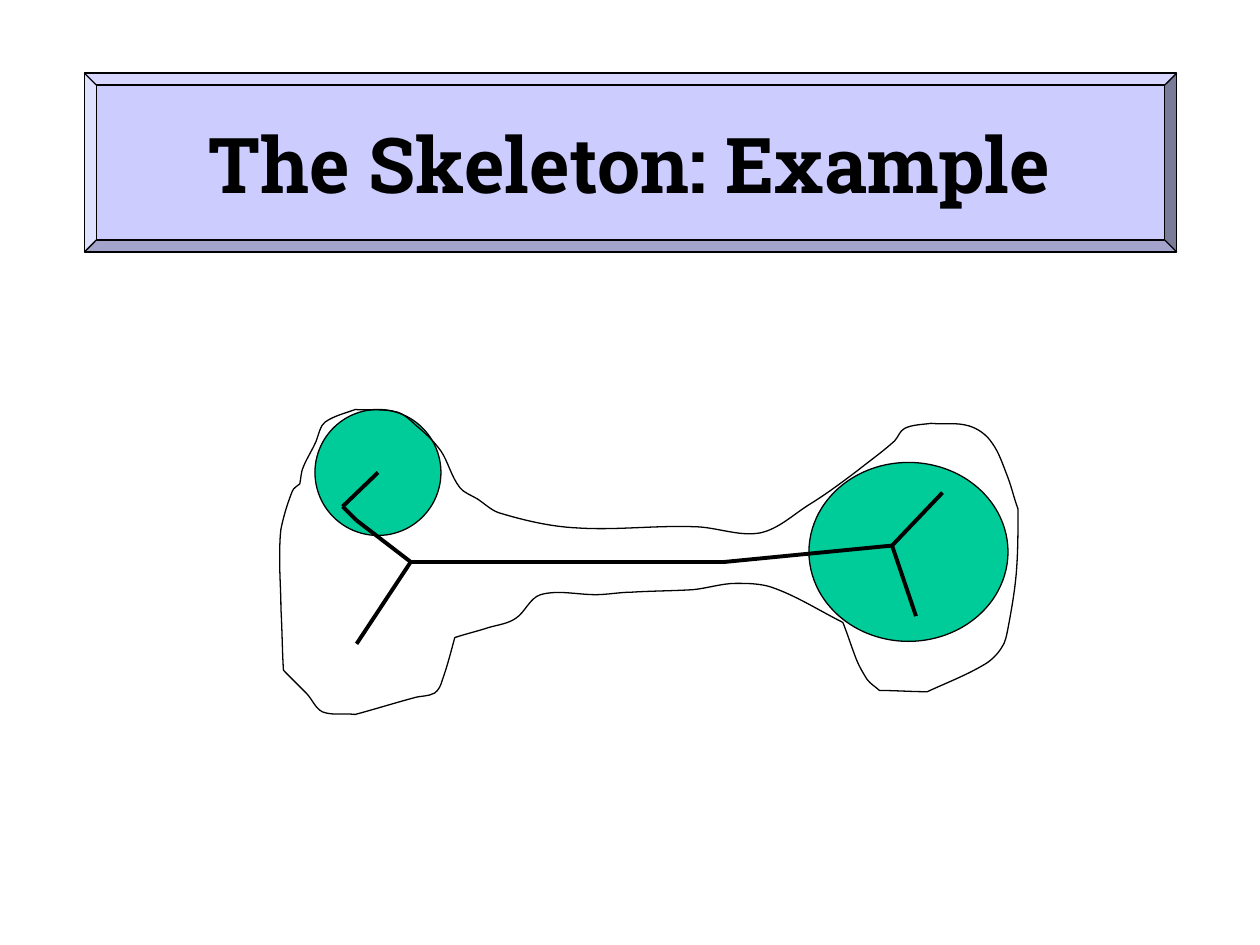
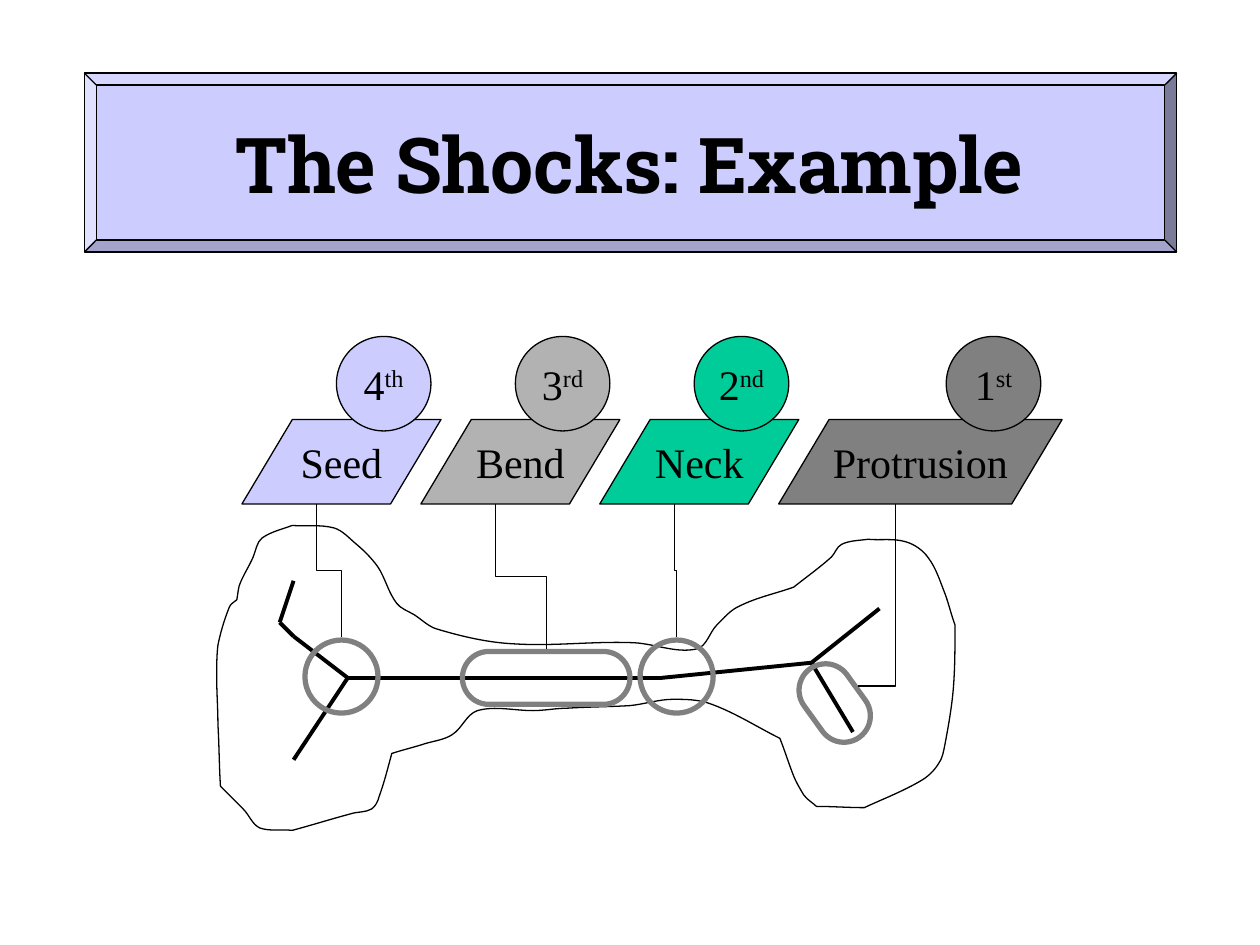
from math import cos, hypot, radians, sin
from lxml.etree import SubElement
from pptx import Presentation
from pptx.dml.color import RGBColor
from pptx.enum.shapes import MSO_CONNECTOR as Link, MSO_SHAPE as Preset
from pptx.enum.text import MSO_ANCHOR as Anchor, MSO_AUTO_SIZE as AutoSize, PP_ALIGN as Align
from pptx.oxml.ns import qn
from pptx.util import Emu, Pt

SCALE = 9144
BLACK, WHITE, GREY, SILVER = "000000", "FFFFFF", "808080", "B2B2B2"
LAVENDER, GREEN = "CCCCFF", "00CC99"
TITLE_FONT, LABEL_FONT = "Roboto Slab", "Times New Roman"

SMOOTH_NECK = [(426, 75)]
STEPPED_NECK = [(402, 79), (420, 64)]

TAG_HEIGHT, TAG_SKEW, TAG_OVERLAP = 67, 40, 16
BADGE_SIZE, BADGE_RISE = 75, 66
MARK_CLEARANCE = 2


def px(*lengths):
    return [Emu(round(length * SCALE)) for length in lengths]


def color(code):
    return RGBColor.from_string(code)


def shift(point, origin):
    return origin[0] + point[0], origin[1] + point[1]


def paint(shape, fill=None, line=BLACK, weight=0.75):
    shape.shadow.inherit = False
    if fill:
        shape.fill.solid()
        shape.fill.fore_color.rgb = color(fill)
    else:
        shape.fill.background()
    shape.line.color.rgb = color(line)
    shape.line.width = Pt(weight)


def add_preset(page, preset, box, adjust=None, **look):
    shape = page.shapes.add_shape(preset, *px(*box))
    if adjust is not None:
        shape.adjustments[0] = adjust
    paint(shape, **look)
    return shape


def write(shape, text, superscript="", size=24, font=LABEL_FONT, bold=False, wrap=False):
    frame = shape.text_frame
    frame.word_wrap = wrap
    frame.auto_size = AutoSize.NONE
    frame.vertical_anchor = Anchor.MIDDLE
    para = frame.paragraphs[0]
    para.alignment = Align.CENTER
    for words in filter(None, (text, superscript)):
        span = para.add_run()
        span.text = words
        span.font.size = Pt(size)
        span.font.name = font
        span.font.bold = bold
        span.font.color.rgb = color(BLACK)
    if superscript:
        span._r.get_or_add_rPr().set("baseline", "30000")


def add_line(page, start, end, kind=Link.STRAIGHT, weight=2.25):
    line = page.shapes.add_connector(kind, *px(*start, *end))
    line.line.color.rgb = color(BLACK)
    line.line.width = Pt(weight)
    SubElement(line.element.spPr, qn("a:effectLst"))
    return line


def add_drop_line(page, start, end, single_bend):
    middle_x, middle_y = (start[0] + end[0]) / 2, (start[1] + end[1]) / 2
    across, down = abs(end[0] - start[0]), end[1] - start[1]
    corner = (middle_x - down / 2, middle_y - across / 2)
    line = add_line(page, corner, shift((down, across), corner), Link.ELBOW, 0.75)
    xfrm = line.element.spPr.find(qn("a:xfrm"))
    if end[0] < start[0]:
        xfrm.set("rot", "5400000")
    else:
        xfrm.set("rot", "16200000")
        xfrm.set("flipH", "1")
    if single_bend:
        line.element.spPr.find(qn("a:prstGeom")).set("prst", "bentConnector2")


def bone_strokes(neck):
    left_temple = [(21, 59), (24, 45), (34, 25), (41, 10), (65, 0)]
    left_crown = [(65, 0), (98, 2), (116, 15), (133, 33), (148, 62), (162, 71)]
    upper_shaft = [(162, 71), (179, 82), (241, 94), (333, 93), (386, 98), *neck, (463, 49)]
    right_temple = [(463, 49), (493, 25), (501, 15), (522, 11)]
    right_crown = [(522, 11), (552, 13), (570, 26), (583, 54), (591, 79)]
    right_cheek = [(591, 79), (590, 125), (583, 174), (578, 189), (565, 202), (519, 224)]
    right_base = [(519, 224), (481, 223)]
    right_jaw = [(481, 223), (471, 214), (463, 199), (452, 169)]
    lower_shaft = [(452, 169), (398, 142), (367, 138), (333, 143), (284, 145),
                   (256, 147), (212, 147), (192, 166), (171, 173), (144, 181)]
    left_jaw = [(144, 181), (134, 215), (128, 225), (111, 229), (65, 242)]
    left_base = [(65, 242), (39, 240), (26, 225), (8, 207)]
    left_cheek = [(8, 207), (6, 158), (5, 120), (6, 95), (15, 65), (21, 59)]
    return [left_temple, left_crown, upper_shaft, right_temple, right_crown, right_cheek,
            right_base, right_jaw, lower_shaft, left_jaw, left_base, left_cheek]


def smooth_curves(knots):
    directions = []
    for before, after in zip(knots[:1] + knots, knots[1:] + knots[-1:]):
        across, down = after[0] - before[0], after[1] - before[1]
        directions.append((across / hypot(across, down), down / hypot(across, down)))
    curves = []
    for index, (start, end) in enumerate(zip(knots, knots[1:])):
        reach = hypot(end[0] - start[0], end[1] - start[1]) / 3
        leave, arrive = directions[index:index + 2]
        curves.append([(start[0] + leave[0] * reach, start[1] + leave[1] * reach),
                       (end[0] - arrive[0] * reach, end[1] - arrive[1] * reach), end])
    return curves


def add_bone(page, origin, neck, fill=None):
    strokes = bone_strokes(neck)
    curves = [curve for stroke in strokes for curve in smooth_curves(stroke)]
    ends = [curve[-1] for curve in curves]
    least_x, least_y = (min(axis) for axis in zip(*ends))
    builder = page.shapes.build_freeform(*strokes[0][0], scale=SCALE)
    builder.add_line_segments(ends, close=True)
    bone = builder.convert_to_shape(*px(*origin))
    for segment, curve in zip(list(bone.element.iter(qn("a:lnTo"))), curves):
        outline = segment.getparent()
        bend = SubElement(outline, qn("a:cubicBezTo"))
        for x, y in curve:
            SubElement(bend, qn("a:pt"), x=str(round(x - least_x)), y=str(round(y - least_y)))
        outline.replace(segment, bend)
    paint(bone, fill)


def add_skeleton(page, origin, head, tip):
    fork, neck, elbow, knee = (109, 121), (358, 121), (66, 88), (55, 77)
    foot, upper, lower = (66, 186), (531, 66), (510, 164)
    branches = [(fork, neck), (neck, head), (head, upper), (head, lower),
                (fork, elbow), (fork, foot), (elbow, knee), (knee, tip)]
    for start, end in branches:
        add_line(page, shift(start, origin), shift(end, origin))


def add_title_band(deck, page):
    band = add_preset(page, Preset.BEVEL, (67, 58, 867, 142), adjust=0.067, fill=LAVENDER)
    deck.slide_layouts[5].shapes.element.insert(2, band.element)


def add_title(page, text):
    title = page.shapes.title
    title.left, title.top, title.width, title.height = px(75, 67, 850, 125)
    write(title, text, size=44, font=TITLE_FONT, bold=True, wrap=True)


def add_shock_marks(page, origin):
    marks = {
        "Seed": (Preset.OVAL, (75, 91), (58, 58), 0),
        "Bend": (Preset.ROUNDED_RECTANGLE, (200, 100), (133, 42), 0),
        "Neck": (Preset.OVAL, (341, 91), (58, 58), 0),
        "Protrusion": (Preset.ROUNDED_RECTANGLE, (462, 120), (67, 42), 54.2),
    }
    contacts = {}
    for name, (preset, corner, (width, height), angle) in marks.items():
        left, top = shift(corner, origin)
        rounding = 0.5 if preset == Preset.ROUNDED_RECTANGLE else None
        mark = add_preset(page, preset, (left, top, width, height),
                          adjust=rounding, line=GREY, weight=3)
        mark.rotation = angle
        reach, turn = height / 2 + MARK_CLEARANCE, radians(angle)
        contacts[name] = (left + width / 2 + reach * sin(turn),
                          top + height / 2 - reach * cos(turn))
    return contacts


def add_shock_labels(page, origin, contacts):
    labels = [
        ("Seed", "4", "th", LAVENDER, 158, 83),
        ("Bend", "3", "rd", SILVER, 158, 83),
        ("Neck", "2", "nd", GREEN, 158, 83),
        ("Protrusion", "1", "st", GREY, 225, 92),
    ]
    left, top = origin
    tag_top = top + BADGE_RISE
    for name, rank, suffix, fill, width, badge_inset in labels:
        tag = add_preset(page, Preset.PARALLELOGRAM, (left, tag_top, width, TAG_HEIGHT),
                         adjust=TAG_SKEW / TAG_HEIGHT, fill=fill)
        write(tag, name)
        base_middle = (left + (width - TAG_SKEW) / 2, tag_top + TAG_HEIGHT)
        add_drop_line(page, base_middle, contacts[name], single_bend=name == "Protrusion")
        badge_left = left + width - badge_inset
        badge = add_preset(page, Preset.OVAL, (badge_left, top, BADGE_SIZE, BADGE_SIZE), fill=fill)
        write(badge, rank, suffix)
        left += width - TAG_OVERLAP


def build_skeleton_page(page):
    origin = (217, 325)
    add_title(page, "The Skeleton: Example")
    for corner, size in (((425, 42), (158, 142)), ((33, 0), (100, 100))):
        add_preset(page, Preset.OVAL, (*shift(corner, origin), *size), fill=GREEN)
    add_bone(page, origin, SMOOTH_NECK)
    add_skeleton(page, origin, head=(491, 108), tip=(83, 50))


def build_shocks_page(page):
    origin = (167, 417)
    add_title(page, "The Shocks: Example")
    add_bone(page, origin, STEPPED_NECK, fill=WHITE)
    add_skeleton(page, origin, head=(477, 109), tip=(66, 44))
    contacts = add_shock_marks(page, origin)
    add_shock_labels(page, (192, 267), contacts)


def main():
    deck = Presentation()
    deck.slide_width, deck.slide_height = px(1000, 750)
    pages = [deck.slides.add_slide(deck.slide_layouts[5]) for _ in range(2)]
    add_title_band(deck, pages[0])
    for build, page in zip((build_skeleton_page, build_shocks_page), pages):
        build(page)
    deck.save("out.pptx")


if __name__ == "__main__":
    main()
